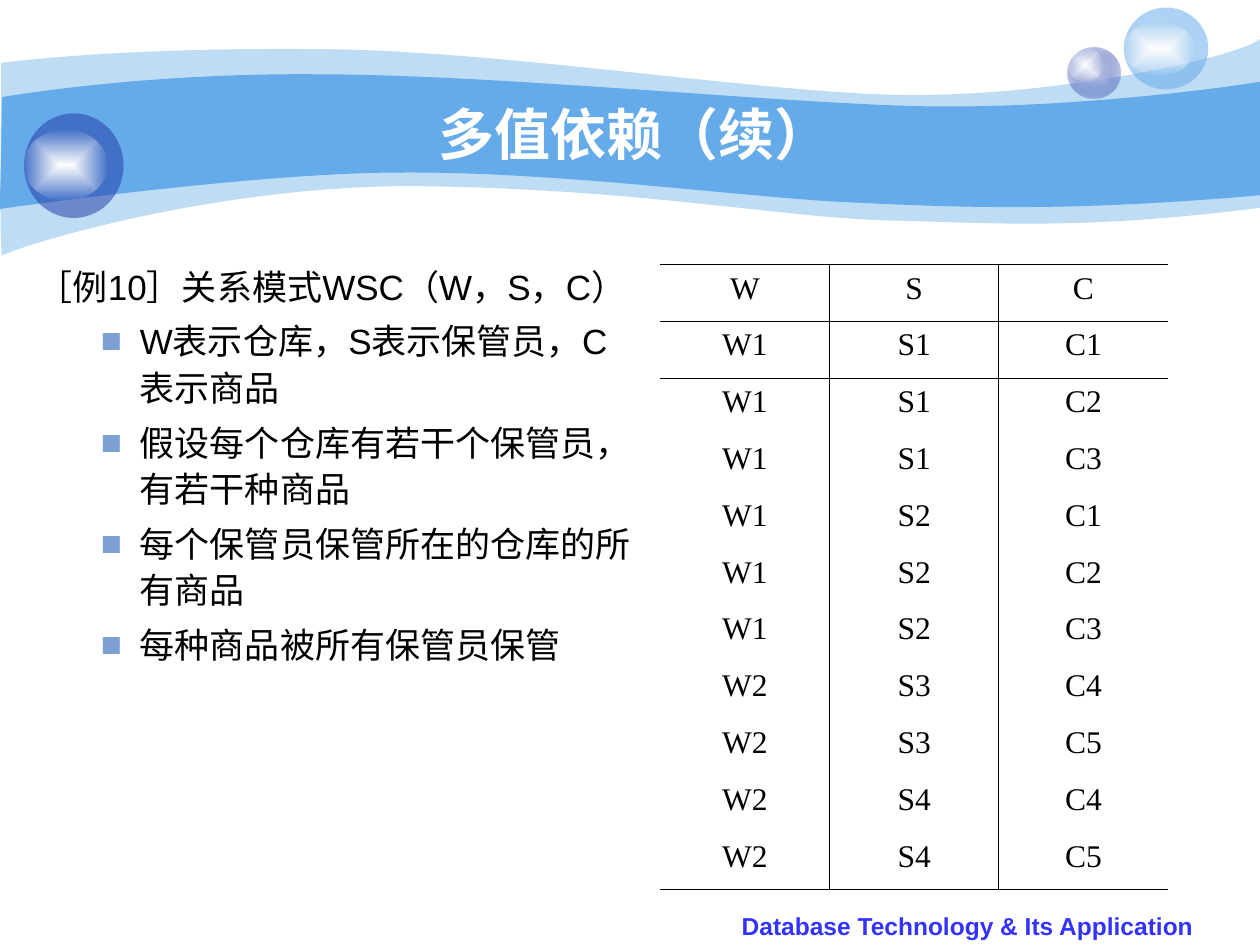
from lxml import etree
from pptx import Presentation
from pptx import util as u
from pptx.dml import color
from pptx.enum import shapes, text
from pptx.oxml import ns

BLUE, INDIGO, WHITE, BLACK = "65AAE9", "233DA9", "FFFFFF", "000000"

# Each wave: start point, then cubic curves (six numbers) and lines (two numbers).
PALE_WAVE = [
    (0.01, 0.5), (0.24, 0.47, 1.08, 0.38, 2.47, 0.39),
    (3.86, 0.39, 5.76, 0.7, 6.99, 0.75), (8.22, 0.8, 9.8, 0.47, 10, 0.31),
    (10, 1.65), (8.58, 1.83, 7.88, 1.77, 7.05, 1.75),
    (6.22, 1.73, 5.15, 1.51, 3.44, 1.48), (1.72, 1.44, 0.04, 1.99, 0.02, 2.03),
    (-0.01, 2.08, 0.01, 0.75, 0.01, 0.5),
]
DEEP_WAVE = [
    (0.02, 0.77), (0.03, 0.77, 1.1, 0.58, 2.49, 0.59),
    (3.87, 0.59, 5.96, 0.8, 7.18, 0.84), (8.41, 0.88, 9.76, 0.69, 10, 0.65),
    (10, 1.55), (8.53, 1.68, 7.66, 1.65, 6.82, 1.61),
    (5.99, 1.58, 4.47, 1.36, 3.17, 1.37), (2.03, 1.37, -0.02, 1.66, -0.01, 1.66),
    (0.01, 1.66, 0.01, 0.77, 0.02, 0.77),
]
SHINE = [(0, WHITE, 100), (100, WHITE, 0)]
# Ball box, ball gradient stops or (colour, opacity), shine box.
BALLS = [
    ((8.47, 0.38, 0.42, 0.4), [(0, "C7CEE9", 100), (100, INDIGO, 31)], (8.47, 0.38, 0.28, 0.27)),
    ((8.92, 0.06, 0.67, 0.65), (BLUE, 53), (8.92, 0.17, 0.56, 0.43)),
    ((0.19, 0.9, 0.79, 0.83), (INDIGO, 53), (0.19, 1.03, 0.66, 0.56)),
]
HEADING = "［例10］关系模式WSC（W，S，C）"
POINTS = [
    "W表示仓库，S表示保管员，C表示商品",
    "假设每个仓库有若干个保管员，有若干种商品",
    "每个保管员保管所在的仓库的所有商品",
    "每种商品被所有保管员保管",
]
# Warehouse, its keepers, its goods.
WAREHOUSES = [("W1", ["S1", "S2"], ["C1", "C2", "C3"]), ("W2", ["S3", "S4"], ["C4", "C5"])]


def rgb(value):
    return color.RGBColor.from_string(value)


def child(parent, tag, **attributes):
    element = etree.SubElement(parent, ns.qn(tag))
    for name, value in attributes.items():
        element.set(name, str(value))
    return element


def set_values(target, values):
    for name, value in values.items():
        setattr(target, name, value)


def place(shape, box):
    set_values(shape, dict(zip(("left", "top", "width", "height"), map(u.Inches, box))))


def add_opacity(color_element, percent):
    if percent < 100:
        child(color_element, "a:alpha", val=percent * 1000)


def fill_solid(shape, value, opacity=100):
    shape.fill.solid()
    shape.fill.fore_color.rgb = rgb(value)
    add_opacity(shape.element.spPr.find(".//" + ns.qn("a:srgbClr")), opacity)


def fill_from_centre(shape, stops):
    gradient = etree.Element(ns.qn("a:gradFill"), rotWithShape="1")
    stop_list = child(gradient, "a:gsLst")
    for position, value, opacity in stops:
        stop = child(stop_list, "a:gs", pos=position * 1000)
        add_opacity(child(stop, "a:srgbClr", val=value), opacity)
    centre = child(gradient, "a:path", path="rect")
    child(centre, "a:fillToRect", l=50000, t=50000, r=50000, b=50000)
    shape.element.spPr.find(ns.qn("a:prstGeom")).addnext(gradient)


def bend_lines(shape, segments):
    """Join the three lines drawn for each six-number segment into one cubic curve."""
    lines = iter(list(shape.element.iter(ns.qn("a:lnTo"))))
    for segment in segments:
        first = next(lines)
        if len(segment) == 6:
            curve = etree.Element(ns.qn("a:cubicBezTo"))
            first.addprevious(curve)
            for line in (first, next(lines), next(lines)):
                curve.append(line[0])
                line.getparent().remove(line)


def add_wave(slide, outline, opacity=100):
    points = [(u.Inches(x), u.Inches(y))
              for segment in outline for x, y in zip(segment[::2], segment[1::2])]
    builder = slide.shapes.build_freeform(*points[0])
    builder.add_line_segments(points[1:], close=True)
    wave = builder.convert_to_shape()
    bend_lines(wave, outline[1:])
    wave.shadow.inherit = False
    wave.line.fill.background()
    fill_solid(wave, BLUE, opacity)


def add_ellipse(group, box, fill):
    ellipse = group.shapes.add_shape(shapes.MSO_SHAPE.OVAL, *map(u.Inches, box))
    ellipse.shadow.inherit = False
    ellipse.line.fill.background()
    if isinstance(fill, list):
        fill_from_centre(ellipse, fill)
    else:
        fill_solid(ellipse, *fill)


def add_ball(slide, ball_box, ball_fill, shine_box):
    group = slide.shapes.add_group_shape()
    add_ellipse(group, ball_box, ball_fill)
    add_ellipse(group, shine_box, SHINE)


def format_paragraph(paragraph, values, size, value=BLACK, name="Arial", bold=False):
    set_values(paragraph, values)
    for run in paragraph.runs:
        set_values(run.font, {"size": u.Pt(size), "name": name, "bold": bold})
        run.font.color.rgb = rgb(value)


def set_bullet(paragraph, margin, indent, bullet=None):
    properties = paragraph._p.get_or_add_pPr()
    properties.set("marL", str(u.Inches(margin)))
    properties.set("indent", str(u.Inches(indent)))
    if bullet:
        child(child(properties, "a:buClr"), "a:srgbClr", val="7DA0D3")
        child(properties, "a:buFont", typeface="Arial")
        child(properties, "a:buChar", char=bullet)
    else:
        child(properties, "a:buNone")


def bring_to_front(shape):
    shape.element.getparent().append(shape.element)


def fill_title(title):
    place(title, (1, 0.75, 8.08, 0.62))
    bring_to_front(title)
    frame = title.text_frame
    frame.text = "多值依赖（续）"
    set_values(frame, {"vertical_anchor": text.MSO_ANCHOR.MIDDLE, "auto_size": text.MSO_AUTO_SIZE.NONE})
    format_paragraph(frame.paragraphs[0], {"alignment": text.PP_ALIGN.CENTER}, 32, WHITE, bold=True)


def fill_body(body):
    place(body, (0.2, 2.02, 4.97, 4.92))
    bring_to_front(body)
    frame = body.text_frame
    frame.text = "\n".join([HEADING] + POINTS)
    frame.auto_size = text.MSO_AUTO_SIZE.NONE
    for index, paragraph in enumerate(frame.paragraphs):
        values = {"level": min(index, 1), "line_spacing": 1.1, "space_before": u.Pt(5)}
        format_paragraph(paragraph, values, 20)
        set_bullet(paragraph, *((0.81, -0.31, "■") if index else (0.38, -0.38)))


def set_borders(cell, sides):
    lines = []
    for side in sides:
        line = etree.Element(ns.qn("a:ln" + side), w=str(u.Pt(0.45)))
        child(child(line, "a:solidFill"), "a:srgbClr", val=BLACK)
        lines.append(line)
    cell._tc.get_or_add_tcPr()[:0] = lines


def add_relation_table(slide):
    rows = [("W", "S", "C")]
    rows += [(w, s, c) for w, keepers, goods in WAREHOUSES for s in keepers for c in goods]
    box = map(u.Inches, (5.24, 2.1, 4.03, 4.96))
    table = slide.shapes.add_table(len(rows), 3, *box).table
    set_values(table, {"first_row": False, "horz_banding": False})
    # The plain style has neither fills nor grid lines.
    table._tbl.tblPr.find(ns.qn("a:tableStyleId")).text = "{2D5ABB26-0587-4C30-8999-92F81FD0307C}"
    for r, row in enumerate(rows):
        for c, value in enumerate(row):
            cell = table.cell(r, c)
            cell.text = value
            cell.fill.background()
            format_paragraph(cell.text_frame.paragraphs[0], {"alignment": text.PP_ALIGN.CENTER},
                             18, name="Times New Roman")
            set_borders(cell, "L" * (c > 0) + "R" * (c < 2) + "T" * (r < 2)
                        + "B" * (r in (0, len(rows) - 1)))


def add_footer(slide):
    frame = slide.shapes.add_textbox(*map(u.Inches, (5.71, 7.18, 3.94, 0.35))).text_frame
    frame.word_wrap = True
    frame.text = "Database Technology & Its Application"
    format_paragraph(frame.paragraphs[0], {"alignment": text.PP_ALIGN.CENTER}, 14, "3333FF", bold=True)


def main():
    presentation = Presentation()
    set_values(presentation, {"slide_width": u.Inches(10), "slide_height": u.Inches(7.5)})
    slide = presentation.slides.add_slide(presentation.slide_layouts[1])
    add_wave(slide, PALE_WAVE, 41)
    add_wave(slide, DEEP_WAVE)
    for ball in BALLS:
        add_ball(slide, *ball)
    fill_title(slide.shapes.title)
    fill_body(slide.placeholders[1])
    add_relation_table(slide)
    add_footer(slide)
    presentation.save("out.pptx")


if __name__ == "__main__":
    main()
